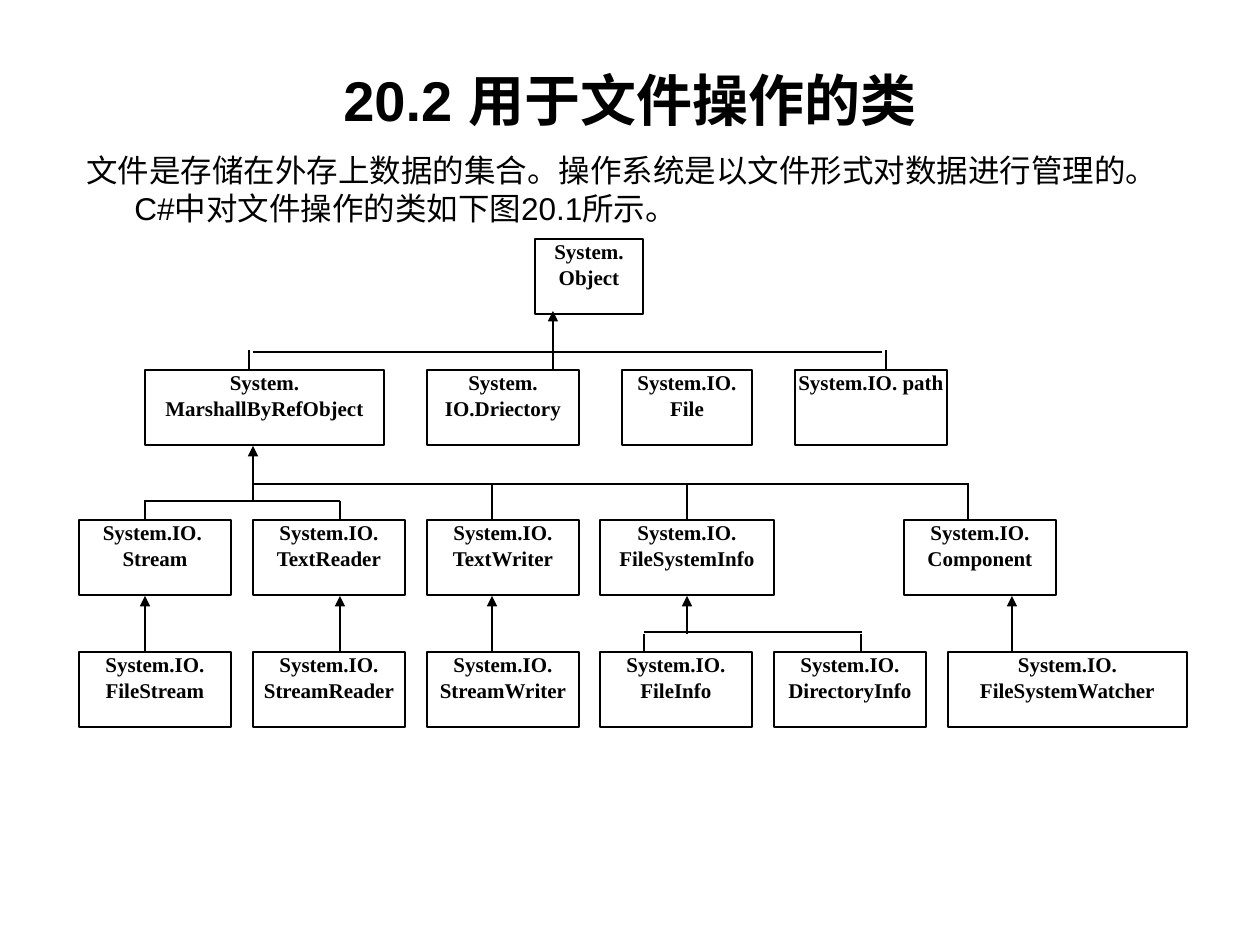
"""Build the slide showing the class hierarchy for file operations."""
import pptx
import pptx.util
import pptx.dml.color
import pptx.enum.shapes
import pptx.enum.text
import pptx.oxml.ns
from lxml import etree

BLACK = pptx.dml.color.RGBColor(0, 0, 0)
WHITE = pptx.dml.color.RGBColor(255, 255, 255)
ALIGN = pptx.enum.text.PP_ALIGN
ANCHOR = pptx.enum.text.MSO_ANCHOR
PX_PER_INCH = 126

HEADING = "20.2 用于文件操作的类"
INTRO = ("文件是存储在外存上数据的集合。操作系统是以文件形式对数据进行管理的。"
         "C#中对文件操作的类如下图20.1所示。")

BOX_HEIGHT = 75
NARROW, MEDIUM, WIDE = 152, 174, 239
LEVELS = [
    (239, [(535, 108, ["System. Object"])]),
    (370, [(145, WIDE, ["System. MarshallByRefObject"]),
           (427, NARROW, ["System. IO.Driectory"]),
           (622, 130, ["System.IO.", "File"]),
           (795, NARROW, ["System.IO. path"])]),
    (520, [(79, NARROW, ["System.IO. ", "Stream"]),
           (253, NARROW, ["System.IO. TextReader"]),
           (427, NARROW, ["System.IO. TextWriter"]),
           (600, MEDIUM, ["System.IO. FileSystemInfo"]),
           (904, NARROW, ["System.IO. Component"])]),
    (652, [(79, NARROW, ["System.IO. FileStream"]),
           (253, NARROW, ["System.IO. StreamReader"]),
           (427, NARROW, ["System.IO. StreamWriter"]),
           (600, NARROW, ["System.IO. FileInfo"]),
           (774, NARROW, ["System.IO. DirectoryInfo"]),
           (948, WIDE, ["System.IO. FileSystemWatcher"])]),
]

BRANCHES = [(352, 253, 882), (484, 253, 969), (501, 144, 340), (632, 644, 862)]
DROPS = [
    (350, 369, [249, 886]),
    (484, 520, [492, 687, 968]),
    (501, 520, [145, 340]),
    (634, 652, [644, 861]),
]
ARROWS = [
    (369, 311, [553]),
    (501, 446, [253]),
    (652, 596, [145, 340, 492, 1012]),
    (634, 596, [687]),
]


def px(length):
    return pptx.util.Emu(round(length * pptx.util.Inches(1) / PX_PER_INCH))


def add_text(paragraph, text, size, font_name, bold):
    run = paragraph.add_run()
    run.text = text
    run.font.size = pptx.util.Pt(size)
    run.font.name = font_name
    run.font.bold = bold
    run.font.color.rgb = BLACK


def add_passage(slide, bounds, text, size, bold, anchor, align):
    frame = slide.shapes.add_textbox(*map(px, bounds)).text_frame
    frame.word_wrap = True
    frame.vertical_anchor = anchor
    paragraph = frame.paragraphs[0]
    paragraph.alignment = align
    add_text(paragraph, text, size, "Arial", bold)
    return paragraph


def add_class(slide, left, top, width, names):
    box = slide.shapes.add_shape(pptx.enum.shapes.MSO_SHAPE.RECTANGLE,
                                 px(left), px(top), px(width), px(BOX_HEIGHT))
    box.shadow.inherit = False
    box.fill.solid()
    box.fill.fore_color.rgb = WHITE
    box.line.color.rgb = BLACK
    box.line.width = pptx.util.Pt(0.75)
    frame = box.text_frame
    frame.word_wrap = True
    frame.vertical_anchor = ANCHOR.TOP
    frame.margin_left = frame.margin_right = 0
    frame.margin_top = frame.margin_bottom = 0
    for index, name in enumerate(names):
        paragraph = frame.add_paragraph() if index else frame.paragraphs[0]
        paragraph.alignment = ALIGN.CENTER
        add_text(paragraph, name, 12, "Times New Roman", True)


def add_line(slide, x1, y1, x2, y2, arrow=False):
    line = slide.shapes.add_connector(pptx.enum.shapes.MSO_CONNECTOR.STRAIGHT,
                                      px(x1), px(y1), px(x2), px(y2))
    line.line.color.rgb = BLACK
    line.line.width = pptx.util.Pt(0.75)
    if arrow:
        etree.SubElement(line.line._get_or_add_ln(),
                         pptx.oxml.ns.qn("a:tailEnd"), type="triangle")
    etree.SubElement(line._element.spPr, pptx.oxml.ns.qn("a:effectLst"))


def main():
    deck = pptx.Presentation()
    deck.slide_width, deck.slide_height = px(1260), px(945)
    slide = deck.slides.add_slide(deck.slide_layouts[6])

    add_passage(slide, (63, 49, 1134, 100), HEADING, 32, True,
                ANCHOR.MIDDLE, ALIGN.CENTER)
    intro = add_passage(slide, (74, 145, 1111, 745), INTRO, 18, False,
                        ANCHOR.TOP, ALIGN.LEFT)
    hanging = intro._p.get_or_add_pPr()
    hanging.set("marL", str(px(48)))
    hanging.set("indent", str(-px(48)))

    for top, classes in LEVELS:
        for left, width, names in classes:
            add_class(slide, left, top, width, names)
    for y, start, end in BRANCHES:
        add_line(slide, start, y, end, y)
    for links, arrow in ((DROPS, False), (ARROWS, True)):
        for start, end, columns in links:
            for x in columns:
                add_line(slide, x, start, x, end, arrow)
    deck.save("out.pptx")


if __name__ == "__main__":
    main()
